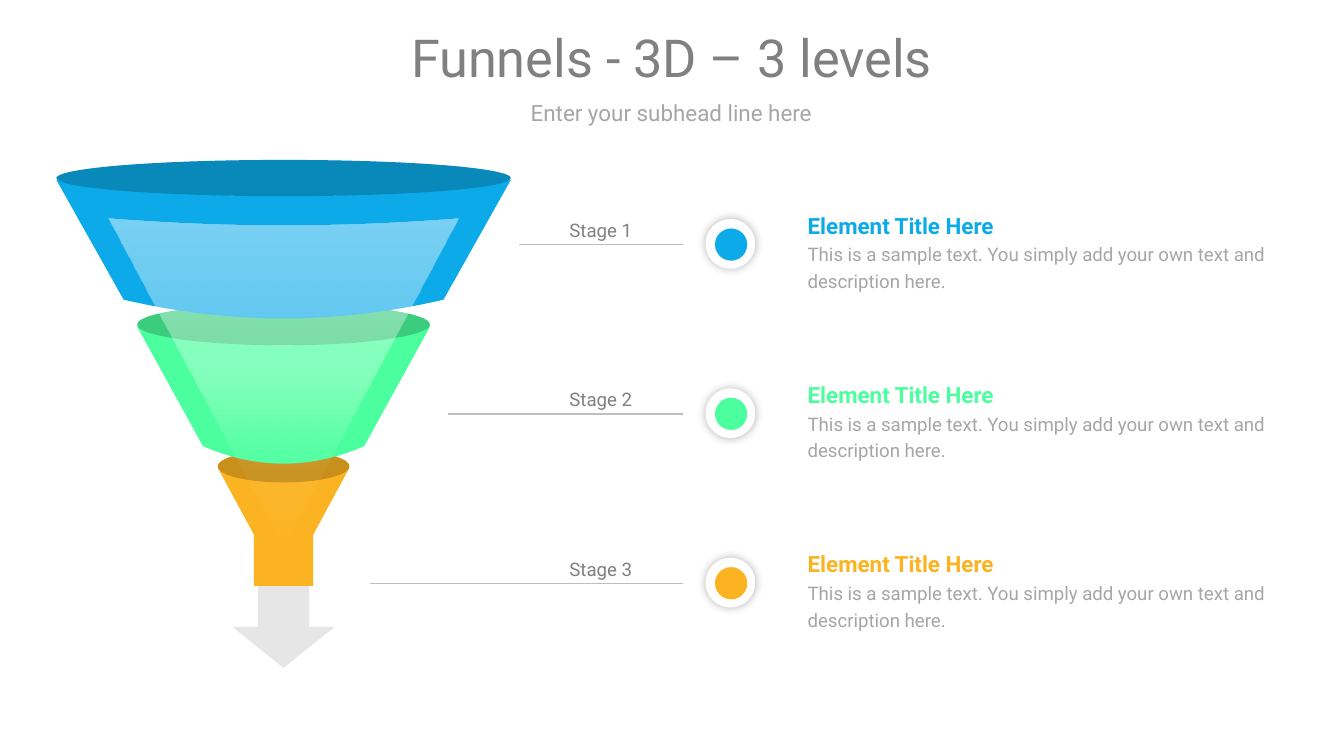
from lxml import etree
from pptx import Presentation
from pptx import util as u
from pptx.dml.color import RGBColor
from pptx.enum import shapes, text
from pptx.oxml import parse_xml
from pptx.oxml.ns import nsdecls, qn

FONT = "Roboto"
COLORS = {
    "blue": "0CAAE9", "green": "4BFF9E", "orange": "FBB321",
    "title": "808080", "body": "A6A6A6", "line": "BFBFBF",
    "arrow": "E6E6E6", "white": "FFFFFF", "black": "000000",
}
# half width, y and sag are measured from the funnel's centre line and top
TIERS = [
    dict(color="orange", rim_top=2.16, rim_height=0.24, rim=(0.49, 2.29, 0.09),
         base=(0.22, 2.79, 0), spout=0.38),
    dict(color="green", rim_top=1.07, rim_height=0.31, rim=(1.09, 1.24, 0.14),
         base=(0.6, 2.13, 0.13), spout=0),
    dict(color="blue", rim_top=0, rim_height=0.27, rim=(1.69, 0.15, 0.12),
         base=(1.19, 1.04, 0.14), spout=0),
]
GLASS_STOPS = [(0, 45), (50, 29), (71, 6), (100, 0)]
STAGES = [("Stage 1", "blue", 3.86), ("Stage 2", "green", 3.33), ("Stage 3", "orange", 2.75)]
SAMPLE = "This is a sample text. You simply add your own text and description here."


def rgb(name):
    return RGBColor.from_string(COLORS[name])


def paint(sp, color):
    sp.shadow.inherit = False
    sp.fill.solid()
    sp.fill.fore_color.rgb = rgb(color)
    sp.line.fill.background()


def add_filled(parent, kind, x, y, w, h, color, alpha=None):
    sp = parent.add_shape(kind, *map(u.Inches, (x, y, w, h)))
    paint(sp, color)
    if alpha is not None:
        clr = sp._element.spPr.find(qn("a:solidFill"))[0]
        etree.SubElement(clr, qn("a:alpha"), val=str(alpha * 1000))
    return sp


def add_outline(parent, points, cx, top):
    """Closed freeform from points relative to the centre line and top."""
    pts = [(u.Inches(cx + x), u.Inches(top + y)) for x, y in points]
    builder = parent.build_freeform(*pts[0], scale=1.0)
    builder.add_line_segments(pts[1:], close=True)
    return builder.convert_to_shape()


def arc(half, y, sag, steps=40):
    """Points of a sagging curve, left to right."""
    ts = [2 * i / steps - 1 for i in range(steps + 1)]
    return [(half * t, y + sag * (1 - t * t)) for t in ts]


def add_text(s, x, y, w, h, paragraphs, align=text.PP_ALIGN.LEFT, wrap=True):
    """Each paragraph is (words, size, colour, bold, line spacing)."""
    tf = s.shapes.add_textbox(*map(u.Inches, (x, y, w, h))).text_frame
    tf.word_wrap = wrap
    tf.vertical_anchor = text.MSO_ANCHOR.MIDDLE
    tf.margin_left = tf.margin_right = tf.margin_top = tf.margin_bottom = 0
    for i, (words, size, color, bold, spacing) in enumerate(paragraphs):
        p = tf.add_paragraph() if i else tf.paragraphs[0]
        p.alignment = align
        p.line_spacing = spacing
        r = p.add_run()
        r.text = words
        r.font.name = FONT
        r.font.size = u.Pt(size)
        r.font.bold = bold
        r.font.color.rgb = rgb(color)


def add_header(s, x, y, w):
    center = text.PP_ALIGN.CENTER
    add_text(s, x, y + 0.59, w, 0.19,
             [("Enter your subhead line here", 12, "body", False, 1.0)], center, False)
    add_text(s, x, y, w, 0.54, [("Funnels - 3D – 3 levels", 28, "title", False, 1.0)], center)


def add_tier(parent, cx, top, color, rim_top, rim_height, rim, base, spout):
    half = rim[0]
    ring = (cx - half, top + rim_top, 2 * half, rim_height)
    add_filled(parent, shapes.MSO_SHAPE.OVAL, *ring, color)
    base_half, base_y, base_sag = base
    bottom = arc(base_half, base_y + spout, base_sag)[::-1]
    wall = arc(*rim) + [(base_half, base_y)] + bottom + [(-base_half, base_y)]
    paint(add_outline(parent, wall, cx, top), color)
    add_filled(parent, shapes.MSO_SHAPE.OVAL, *ring, "black", 20)


def add_glass(parent, cx, top):
    """Translucent highlight that fades towards the funnel's tip."""
    sp = add_outline(parent, arc(1.3, 0.44, 0.05) + [(0, 2.88)], cx, top)
    paint(sp, "white")
    stops = "".join(
        f'<a:gs pos="{pos * 1000}"><a:srgbClr val="{COLORS["white"]}">'
        f'<a:alpha val="{alpha * 1000}"/></a:srgbClr></a:gs>' for pos, alpha in GLASS_STOPS)
    solid = sp._element.spPr.find(qn("a:solidFill"))
    solid.getparent().replace(solid, parse_xml(
        f'<a:gradFill {nsdecls("a")} rotWithShape="1"><a:gsLst>{stops}</a:gsLst>'
        '<a:lin ang="5400000" scaled="0"/></a:gradFill>'))


def add_funnel(s, x, y, w):
    group = s.shapes.add_group_shape().shapes
    cx = x + w / 2
    add_filled(group, shapes.MSO_SHAPE.DOWN_ARROW, cx - 0.38, y + 3.17, 0.76, 0.61, "arrow")
    for tier in TIERS:
        add_tier(group, cx, y, **tier)
    add_glass(group, cx, y)


def add_marker(s, x, y, color):
    group = s.shapes.add_group_shape().shapes
    disc = add_filled(group, shapes.MSO_SHAPE.OVAL, x, y, 0.37, 0.37, "white")
    effects = disc._element.spPr.find(qn("a:effectLst"))
    shadow = etree.SubElement(effects, qn("a:outerShdw"), blurRad=str(u.Pt(5)),
                              dist="0", dir="0", algn="ctr", rotWithShape="0")
    clr = etree.SubElement(shadow, qn("a:srgbClr"), val=COLORS["black"])
    etree.SubElement(clr, qn("a:alpha"), val="29000")
    add_filled(group, shapes.MSO_SHAPE.OVAL, x + 0.07, y + 0.07, 0.24, 0.24, color)


def add_stage(s, x, y, label, color, line_start):
    line_y = u.Inches(y + 0.35)
    line = s.shapes.add_connector(shapes.MSO_CONNECTOR.STRAIGHT, u.Inches(line_start), line_y,
                                  u.Inches(x + 1.09), line_y)
    line.line.color.rgb = rgb("line")
    line.line.width = u.Pt(0.75)
    etree.SubElement(line._element.spPr, qn("a:effectLst"))
    add_text(s, x, y + 0.09, 0.96, 0.22, [(label, 10, "title", False, 1.5)],
             text.PP_ALIGN.CENTER)
    add_marker(s, x + 1.26, y + 0.16, color)
    add_text(s, x + 2.02, y, 3.56, 0.71, [("Element Title Here", 12, color, True, 1.5),
                                          (SAMPLE, 10, "body", False, 1.2)])


def main():
    prs = Presentation()
    prs.slide_width = u.Inches(10)
    prs.slide_height = prs.slide_width * 9 // 16
    s = prs.slides.add_slide(prs.slide_layouts[6])
    add_header(s, 0.42, 0.15, 9.15)
    add_funnel(s, 0.42, 1.19, 3.38)
    for i, stage in enumerate(STAGES):
        add_stage(s, 3.99, 1.47 + 1.26 * i, *stage)
    prs.save("out.pptx")


if __name__ == "__main__":
    main()
